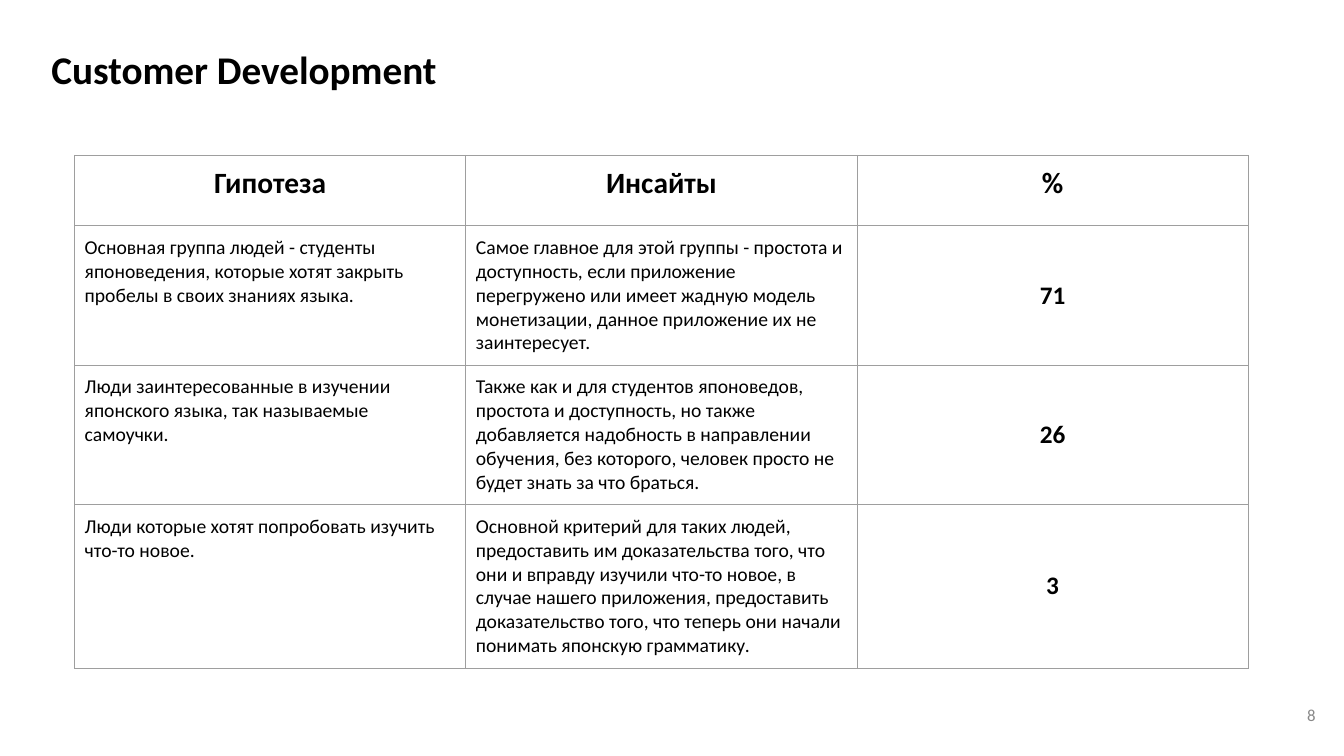
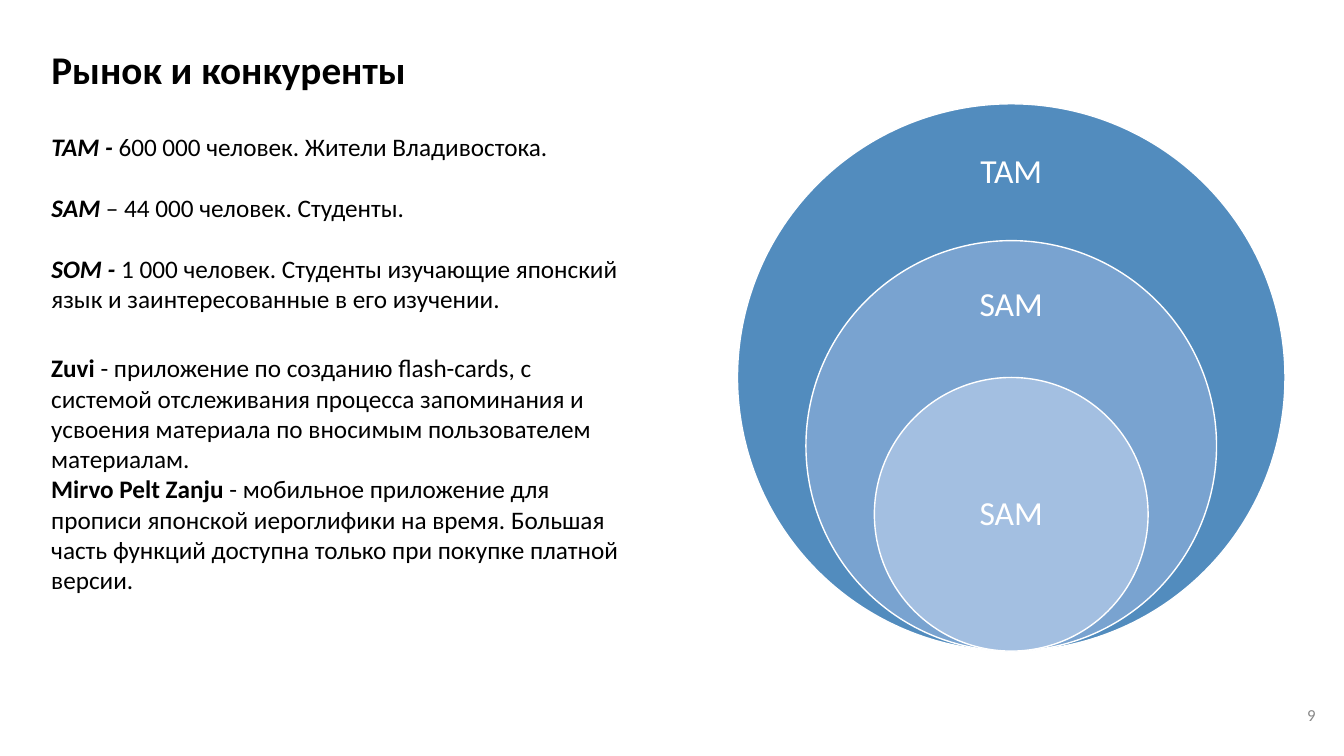
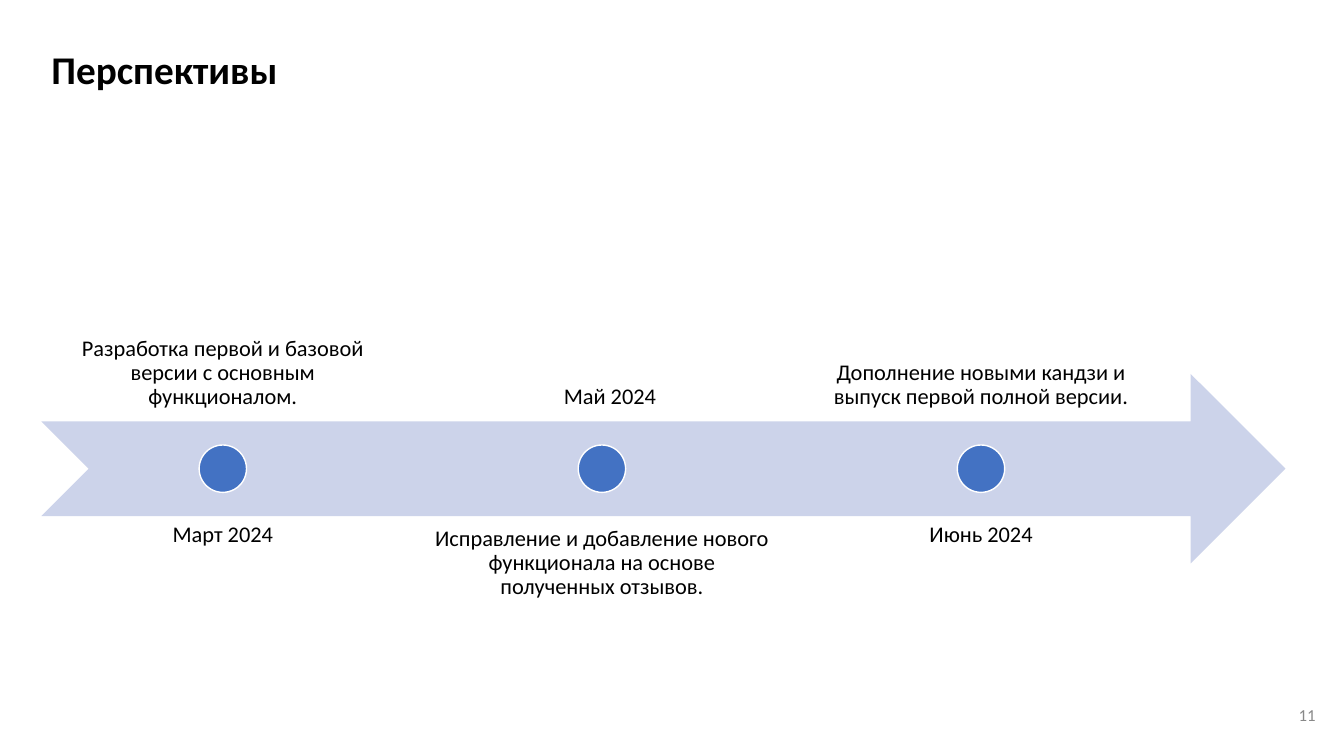
"""Build three slides on customer research, market size and product plans."""
import lxml.etree
import pptx
import pptx.dml.color
import pptx.enum.shapes
import pptx.enum.text
import pptx.oxml.ns
import pptx.util

Inches = pptx.util.Inches
Pt = pptx.util.Pt
ALIGN = pptx.enum.text.PP_ALIGN
ANCHOR = pptx.enum.text.MSO_ANCHOR
SHAPE = pptx.enum.shapes.MSO_SHAPE

FONT = "Calibri"
COLORS = {
    "text": "000000",
    "white": "FFFFFF",
    "number": "888888",
    "border": "9E9E9E",
    "tam": "528CBE",
    "sam": "79A3D0",
    "som": "A3BFE1",
    "arrow": "CCD3EA",
    "milestone": "4372C3",
}
TEXT_INSETS = (0.1, 0.05, 0.1, 0.05)
MARGIN, CONTENT_WIDTH = 0.41, 12.34

INSIGHT_ROWS = [
    ("Основная группа людей - студенты японоведения, которые хотят закрыть пробелы в своих знаниях языка.",
     "Самое главное для этой группы - простота и доступность, если приложение перегружено или имеет "
     "жадную модель монетизации, данное приложение их не заинтересует.", "71"),
    ("Люди заинтересованные в изучении японского языка, так называемые самоучки.",
     "Также как и для студентов японоведов, простота и доступность, но также добавляется надобность "
     "в направлении обучения, без которого, человек просто не будет знать за что браться.", "26"),
    ("Люди которые хотят попробовать изучить что-то новое.",
     "Основной критерий для таких людей, предоставить им доказательства того, что они и вправду "
     "изучили что-то новое, в случае нашего приложения, предоставить доказательство того, что "
     "теперь они начали понимать японскую грамматику.", "3"),
]
MARKET_SIZES = [
    [("TAM - ", "bi"), ("600 000 человек. Жители Владивостока.", "")],
    [("SAM", "bi"), (" – 44 000 человек. Студенты.", "")],
    [("SOM - ", "bi"),
     ("1 000 человек. Студенты изучающие японский язык и заинтересованные в его изучении.", "")],
]
COMPETITORS = [
    [("Zuvi ", "b"),
     ("- приложение по созданию flash-cards, с системой отслеживания процесса запоминания и "
      "усвоения материала по вносимым пользователем материалам.", "")],
    [("Mirvo Pelt Zanju", "b"),
     (" - мобильное приложение для прописи японской иероглифики на время. Большая часть функций "
      "доступна только при покупке платной версии.", "")],
]
MARKET_CIRCLES = [
    ("TAM", "tam", 1, 1.31, 0.81),
    ("SAM", "sam", 0.75, 2.65, 0.76),
    ("SAM", "som", 0.5, 4.43, 1.36),
]
ABOVE = (2.3, 1.88, ANCHOR.BOTTOM)
BELOW = (5.11, 1.88, ANCHOR.TOP)
DATE_BELOW = (5.08, 0.47, ANCHOR.BOTTOM)
STAGES = [
    ("Разработка первой и базовой версии с основным функционалом.", ABOVE,
     "Март 2024", DATE_BELOW, 0),
    ("Исправление и добавление нового функционала на основе полученных отзывов.", BELOW,
     "Май 2024", ABOVE, 0.08),
    ("Дополнение новыми кандзи и выпуск первой полной версии.", ABOVE,
     "Июнь 2024", DATE_BELOW, 0),
]


def rgb(name):
    """Return the named colour."""
    return pptx.dml.color.RGBColor.from_string(COLORS[name])


def write(frame, paragraphs, size, color="text", align=ALIGN.LEFT, spacing=1.0, gap=0):
    """Fill a text frame with paragraphs of (text, style) runs."""
    for index, runs in enumerate(paragraphs):
        paragraph = frame.add_paragraph() if index else frame.paragraphs[0]
        paragraph.alignment = align
        paragraph.line_spacing = spacing
        paragraph.space_before = Pt(gap if index else 0)
        paragraph.space_after = Pt(0)
        for text, style in runs:
            run = paragraph.add_run()
            run.text = text
            run.font.name = FONT
            run.font.size = Pt(size)
            run.font.bold = "b" in style
            run.font.italic = "i" in style
            run.font.color.rgb = rgb(color)


def set_frame(frame, insets=TEXT_INSETS, anchor=ANCHOR.TOP):
    """Set wrapping, insets and vertical anchor of a text frame."""
    frame.word_wrap = True
    frame.auto_size = pptx.enum.text.MSO_AUTO_SIZE.NONE
    frame.vertical_anchor = anchor
    (frame.margin_left, frame.margin_top,
     frame.margin_right, frame.margin_bottom) = map(Inches, insets)


def fill_placeholder(placeholder, box, paragraphs, size, gap=0):
    """Move a placeholder and write unbulleted text into it."""
    placeholder.left, placeholder.top, placeholder.width, placeholder.height = map(Inches, box)
    set_frame(placeholder.text_frame)
    write(placeholder.text_frame, paragraphs, size, gap=gap)
    for paragraph in placeholder.text_frame.paragraphs:
        properties = paragraph._p.get_or_add_pPr()
        properties.set("marL", "0")
        properties.set("indent", "0")
        lxml.etree.SubElement(properties, pptx.oxml.ns.qn("a:buNone"))


def add_text(slide, box, paragraphs, size, insets=TEXT_INSETS, anchor=ANCHOR.TOP, **style):
    """Add a text box."""
    frame = slide.shapes.add_textbox(*map(Inches, box)).text_frame
    set_frame(frame, insets, anchor)
    write(frame, paragraphs, size, **style)


def add_label(slide, box, text, size, inset, anchor, color="text"):
    """Add a centred diagram label with tight lines."""
    add_text(slide, box, [[(text, "")]], size, (inset,) * 4, anchor,
             color=color, align=ALIGN.CENTER, spacing=0.9)


def add_figure(slide, preset, box, color, outlined=True):
    """Add a filled shape, outlined in white on request."""
    figure = slide.shapes.add_shape(preset, *map(Inches, box))
    figure.shadow.inherit = False
    figure.fill.solid()
    figure.fill.fore_color.rgb = rgb(color)
    if outlined:
        figure.line.color.rgb = rgb("white")
        figure.line.width = Pt(1)
    else:
        figure.line.fill.background()


def add_slide(deck, layout, title, number):
    """Add a slide with the shared title and page number."""
    slide = deck.slides.add_slide(deck.slide_layouts.get_by_name(layout))
    fill_placeholder(slide.shapes.title, (MARGIN, 0.4, CONTENT_WIDTH, 0.57), [[(title, "b")]], 28)
    add_text(slide, (12.25, 6.81, 0.8, 0.57), [[(number, "")]], 12, (0,) * 4,
             ANCHOR.MIDDLE, color="number", align=ALIGN.RIGHT)
    return slide


def format_cell(cell, text, size, style="", align=ALIGN.LEFT, anchor=ANCHOR.TOP):
    """Write a bordered table cell."""
    cell.margin_left = cell.margin_right = cell.margin_top = cell.margin_bottom = Inches(0.1)
    cell.vertical_anchor = anchor
    write(cell.text_frame, [[(text, style)]], size, align=align)
    qn = pptx.oxml.ns.qn
    properties = cell._tc.get_or_add_tcPr()
    for side in ("lnL", "lnR", "lnT", "lnB"):
        line = lxml.etree.SubElement(properties, qn(f"a:{side}"), w=str(Pt(0.75)))
        fill = lxml.etree.SubElement(line, qn("a:solidFill"))
        lxml.etree.SubElement(fill, qn("a:srgbClr"), val=COLORS["border"])
    cell.fill.background()


def build_customer_slide(deck):
    """Build the table of hypotheses and insights."""
    slide = add_slide(deck, "Title Only", "Customer Development", "8")
    heights = (0.7, 1.37, 1.37, 1.6)
    box = (0.74, 1.54, 3 * 3.88, sum(heights))
    table = slide.shapes.add_table(len(heights), 3, *map(Inches, box)).table
    table.first_row = table.horz_banding = False
    for row, height in zip(table.rows, heights):
        row.height = Inches(height)
    for column, heading in enumerate(("Гипотеза", "Инсайты", "%")):
        format_cell(table.cell(0, column), heading, 21, "b", ALIGN.CENTER)
    for row, (hypothesis, insight, share) in enumerate(INSIGHT_ROWS, 1):
        format_cell(table.cell(row, 0), hypothesis, 14)
        format_cell(table.cell(row, 1), insight, 14)
        format_cell(table.cell(row, 2), share, 18, "b", ALIGN.CENTER, ANCHOR.MIDDLE)


def build_market_slide(deck):
    """Build the market sizes, competitors and nested circles."""
    slide = add_slide(deck, "Title and Content", "Рынок и конкуренты", "9")
    fill_placeholder(slide.placeholders[1], (MARGIN, 1.25, 5.94, 1.92), MARKET_SIZES, 18, gap=22)
    add_text(slide, (MARGIN, 3.45, 5.94, 2.52), COMPETITORS, 18)
    center, bottom, diameter, label_width = 10.03, 6.46, 5.43, 1.9
    for label, color, scale, label_top, label_height in MARKET_CIRCLES:
        size = diameter * scale
        add_figure(slide, SHAPE.OVAL, (center - size / 2, bottom - size, size, size), color)
        add_label(slide, (center - label_width / 2, label_top, label_width, label_height),
                  label, 24, 0.19, ANCHOR.MIDDLE, "white")


def build_plans_slide(deck):
    """Build the timeline of release stages."""
    slide = add_slide(deck, "Title Only", "Перспективы", "11")
    arrow_top, arrow_height = 3.71, 1.88
    add_figure(slide, SHAPE.NOTCHED_RIGHT_ARROW,
               (MARGIN, arrow_top, CONTENT_WIDTH, arrow_height), "arrow", outlined=False)
    first_center, step, width, dot = 2.21, 3.76, 3.58, 0.47
    dot_top = arrow_top + (arrow_height - dot) / 2
    for index, (goal, goal_place, date, date_place, date_shift) in enumerate(STAGES):
        center = first_center + index * step
        add_figure(slide, SHAPE.OVAL, (center - dot / 2, dot_top, dot, dot), "milestone")
        for text, (top, height, anchor), shift in ((goal, goal_place, 0),
                                                   (date, date_place, date_shift)):
            add_label(slide, (center - width / 2 + shift, top, width, height),
                      text, 16, 0.12, anchor)


def main():
    """Build and save the presentation."""
    deck = pptx.Presentation()
    deck.slide_width, deck.slide_height = Inches(13.33), Inches(7.5)
    build_customer_slide(deck)
    build_market_slide(deck)
    build_plans_slide(deck)
    deck.save("out.pptx")


if __name__ == "__main__":
    main()
